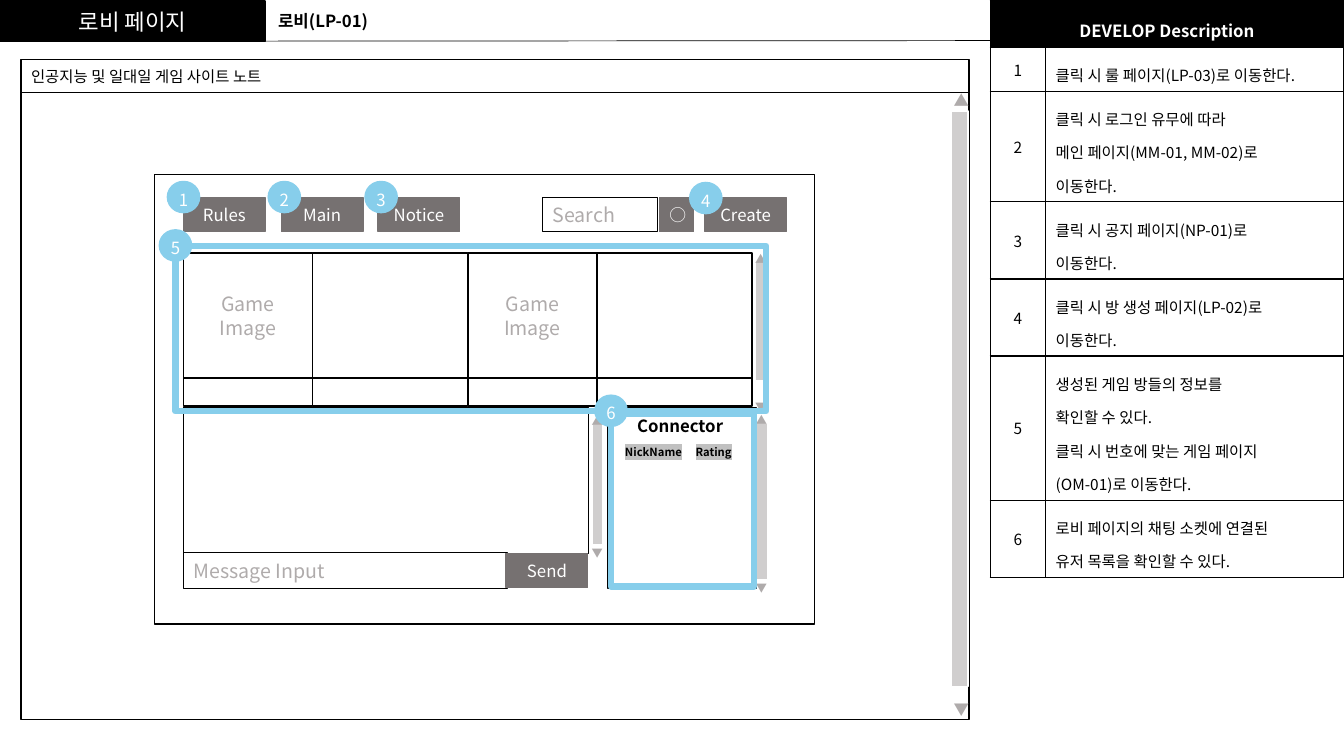
"""Build the lobby page wireframe slide with its development notes."""
from dataclasses import dataclass
from itertools import accumulate

from pptx import Presentation
from pptx.dml.color import RGBColor
from pptx.enum.shapes import MSO_CONNECTOR, MSO_SHAPE
from pptx.enum.text import MSO_ANCHOR, MSO_AUTO_SIZE, PP_ALIGN
from pptx.oxml.ns import qn
from pptx.oxml.xmlchemy import OxmlElement
from pptx.shapes.autoshape import Shape
from pptx.slide import Slide
from pptx.table import _Cell
from pptx.text.text import TextFrame
from pptx.util import Inches, Pt

RECT, CIRCLE = MSO_SHAPE.RECTANGLE, MSO_SHAPE.FLOWCHART_CONNECTOR
LEFT, CENTER = PP_ALIGN.LEFT, PP_ALIGN.CENTER
MIDDLE, NO_FIT = MSO_ANCHOR.MIDDLE, MSO_AUTO_SIZE.NONE
STRAIGHT = MSO_CONNECTOR.STRAIGHT

FONT = "Noto Sans CJK KR"
BLACK, WHITE, SKY = "000000", "FFFFFF", "87CEEB"
DARK, MUTED, TRACK, MARK = "767171", "AFABAB", "D0CECE", "C0C0C0"


@dataclass
class Box:
    left: float
    top: float
    width: float
    height: float
    text: str = ""
    size: float = 12
    color: str = WHITE
    fill: str | None = WHITE
    line: str = BLACK
    weight: float = 1
    align: PP_ALIGN = CENTER


@dataclass
class Label:
    left: float
    top: float
    width: float
    height: float
    text: str
    size: float
    color: str = BLACK
    bold: bool = True
    mark: str | None = None


@dataclass
class Scrollbar:
    left: float
    top: float
    height: float
    up_top: float
    down_top: float
    width: float = 0.11
    size: float = 8
    shift: float = 0.1


@dataclass
class Badge:
    left: float
    top: float


def button(left: float, text: str, top: float = 1.96, width: float = 0.81) -> Box:
    return Box(left, top, width, 0.34, text, fill=DARK, line=DARK)


def rgb(value: str) -> RGBColor:
    return RGBColor.from_string(value)


def write(tf: TextFrame, text: str, size: float, color: str, align: PP_ALIGN = LEFT,
          bold: bool = False, spacing: float = 1) -> None:
    tf.text = text
    for p in tf.paragraphs:
        p.alignment, p.line_spacing = align, spacing
        font = p.font
        font.name, font.size, font.bold = FONT, Pt(size), bold
        font.color.rgb = rgb(color)
        ea = OxmlElement("a:ea")
        ea.set("typeface", FONT)
        p._p.pPr.find(qn("a:defRPr")).find(qn("a:latin")).addnext(ea)


def paint(sp: Shape, box: Box) -> None:
    if box.fill:
        sp.fill.solid()
        sp.fill.fore_color.rgb = rgb(box.fill)
    else:
        sp.fill.background()
    sp.line.color.rgb = rgb(box.line)
    sp.line.width = Pt(box.weight)
    if box.text:
        tf = sp.text_frame
        tf.word_wrap, tf.vertical_anchor = True, MIDDLE
        write(tf, box.text, box.size, box.color, box.align)


def draw_box(s: Slide, box: Box, kind: MSO_SHAPE = RECT) -> Shape:
    sp = s.shapes.add_shape(kind, Inches(box.left), Inches(box.top),
                            Inches(box.width), Inches(box.height))
    sp.shadow.inherit = False
    paint(sp, box)
    return sp


def draw_title(s: Slide, box: Box) -> None:
    sp = s.shapes.title
    sp.left, sp.top = Inches(box.left), Inches(box.top)
    sp.width, sp.height = Inches(box.width), Inches(box.height)
    paint(sp, box)
    sp.text_frame.auto_size = NO_FIT


def draw_label(s: Slide, label: Label) -> None:
    sp = s.shapes.add_textbox(Inches(label.left), Inches(label.top),
                              Inches(label.width), Inches(label.height))
    tf = sp.text_frame
    tf.word_wrap = True
    write(tf, label.text, label.size, label.color, bold=label.bold)
    if label.mark:
        highlight = OxmlElement("a:highlight")
        clr = OxmlElement("a:srgbClr")
        clr.set("val", label.mark)
        highlight.append(clr)
        tf.paragraphs[0].runs[0]._r.get_or_add_rPr().append(highlight)


def draw_scrollbar(s: Slide, bar: Scrollbar) -> None:
    draw_box(s, Box(bar.left, bar.top, bar.width, bar.height, fill=TRACK, line=WHITE))
    for text, top in (("▲", bar.up_top), ("▼", bar.down_top)):
        draw_label(s, Label(bar.left - bar.shift, top, 0.3, 0.24, text, bar.size, MUTED, False))


def draw_badge(s: Slide, number: int, badge: Badge) -> None:
    sp = draw_box(s, Box(badge.left, badge.top, 0.32, 0.31, str(number), fill=SKY, line=SKY),
                  CIRCLE)
    tf = sp.text_frame
    tf.margin_left = tf.margin_right = tf.margin_bottom = 0
    tf.margin_top = Inches(0.05)


def draw_rule(s: Slide) -> None:
    line = s.shapes.add_connector(STRAIGHT, 0, Inches(0.41), Inches(13.33), Inches(0.4))
    line.line.color.rgb = rgb(BLACK)
    line.line.width = Pt(0.5)
    line._element.spPr.append(OxmlElement("a:effectLst"))


def style_cell(cell: _Cell, fill: str) -> None:
    tcPr = cell._tc.get_or_add_tcPr()
    for side in ("lnL", "lnR", "lnT", "lnB"):
        ln = OxmlElement(f"a:{side}")
        ln.set("w", str(Pt(1)))
        solid, clr = OxmlElement("a:solidFill"), OxmlElement("a:srgbClr")
        clr.set("val", BLACK)
        solid.append(clr)
        ln.append(solid)
        tcPr.append(ln)
    cell.fill.solid()
    cell.fill.fore_color.rgb = rgb(fill)


def draw_notes(s: Slide, notes: list[str]) -> None:
    count = len(notes) + 1
    table = s.shapes.add_table(count, 2, Inches(9.82), Inches(0.01),
                               Inches(3.51), Inches(0.4 * count)).table
    table.first_row = table.horz_banding = False
    table.columns[0].width, table.columns[1].width = Inches(0.55), Inches(2.96)
    for i in range(count):
        for j in range(2):
            style_cell(table.cell(i, j), WHITE if i else BLACK)
    header = table.cell(0, 0)
    header.merge(table.cell(0, 1))
    write(header.text_frame, "DEVELOP Description", 12, WHITE, CENTER, True, 1.5)
    for i, note in enumerate(notes, 1):
        number = table.cell(i, 0)
        number.vertical_anchor = MIDDLE
        write(number.text_frame, str(i), 11, BLACK, CENTER)
        write(table.cell(i, 1).text_frame, note, 11, BLACK, spacing=1.5)


NOTES = [
    "클릭 시 룰 페이지(LP-03)로 이동한다.",
    "클릭 시 로그인 유무에 따라\n메인 페이지(MM-01, MM-02)로\n이동한다.",
    "클릭 시 공지 페이지(NP-01)로\n이동한다.",
    "클릭 시 방 생성 페이지(LP-02)로\n이동한다.",
    "생성된 게임 방들의 정보를\n확인할 수 있다.\n클릭 시 번호에 맞는 게임 페이지\n(OM-01)로 이동한다.",
    "로비 페이지의 채팅 소켓에 연결된\n유저 목록을 확인할 수 있다.",
]
ROOM_WIDTHS = [1.28, 1.54] * 2
ROOM_LEFTS = accumulate(ROOM_WIDTHS[:-1], initial=1.82)
ROOMS = [
    Box(left, top, width, height, text if width == ROOM_WIDTHS[0] else "", 14, MUTED)
    for left, width in zip(ROOM_LEFTS, ROOM_WIDTHS)
    for top, height, text in ((2.51, 1.24, "Game\nImage"), (3.75, 0.28, ""))
]
BOXES = [
    Box(0.21, 0.91, 9.4, 6.23),
    Box(1.53, 1.73, 6.55, 4.46),
    *ROOMS,
    Box(1.82, 4.04, 4.02, 1.45),
    Box(6.03, 4.04, 1.47, 1.8),
    Box(0.21, 0.59, 9.4, 0.33, "인공지능 및 일대일 게임 사이트 노트", 11, BLACK, align=LEFT),
    button(1.82, "Rules"), button(2.79, "Main"), button(3.75, "Notice"), button(6.99, "Create"),
    Box(1.82, 5.48, 3.21, 0.36, "Message Input", 14, MUTED, align=LEFT),
    button(5.02, "Send", 5.49),
    Box(5.38, 1.96, 1.14, 0.34, "Search", 14, MUTED, align=LEFT),
    button(6.54, "○", width=0.34),
]
SCROLLBARS = [
    Scrollbar(9.44, 1.1, 5.71, 0.86, 6.9, 0.16, 11, 0.08),
    Scrollbar(7.49, 2.59, 1.19, 2.45, 3.92),
    Scrollbar(5.87, 4.21, 1.19, 4.06, 5.37),
    Scrollbar(7.5, 4.2, 1.55, 4.05, 5.72),
]
LABELS = [
    Label(2.66, 0.06, 3, 0.3, "로비(LP-01)", 12),
    Label(6.22, 4.08, 1.08, 0.3, "Connector", 12),
    Label(6.1, 4.37, 1.08, 0.24, "NickName", 8, mark=MARK),
    Label(6.8, 4.37, 1.08, 0.24, "Rating", 8, mark=MARK),
]
FRAMES = [Box(1.74, 2.44, 5.86, 1.64, fill=None, line=SKY, weight=4.5),
          Box(6.06, 4.11, 1.42, 1.71, fill=None, line=SKY, weight=4.5)]
BADGES = [Badge(1.66, 1.8), Badge(2.66, 1.8), Badge(3.62, 1.8),
          Badge(6.84, 1.81), Badge(1.58, 2.28), Badge(5.9, 3.92)]

prs = Presentation()
prs.slide_width, prs.slide_height = Inches(13.33), Inches(7.5)
s = prs.slides.add_slide(prs.slide_layouts[5])
draw_title(s, Box(0, 0.01, 2.63, 0.4, "로비 페이지", 16, fill=BLACK))
draw_rule(s)
draw_notes(s, NOTES)
for box in BOXES:
    draw_box(s, box)
for bar in SCROLLBARS:
    draw_scrollbar(s, bar)
for label in LABELS:
    draw_label(s, label)
for frame in FRAMES:
    draw_box(s, frame)
for number, badge in enumerate(BADGES, 1):
    draw_badge(s, number, badge)
prs.save("out.pptx")
